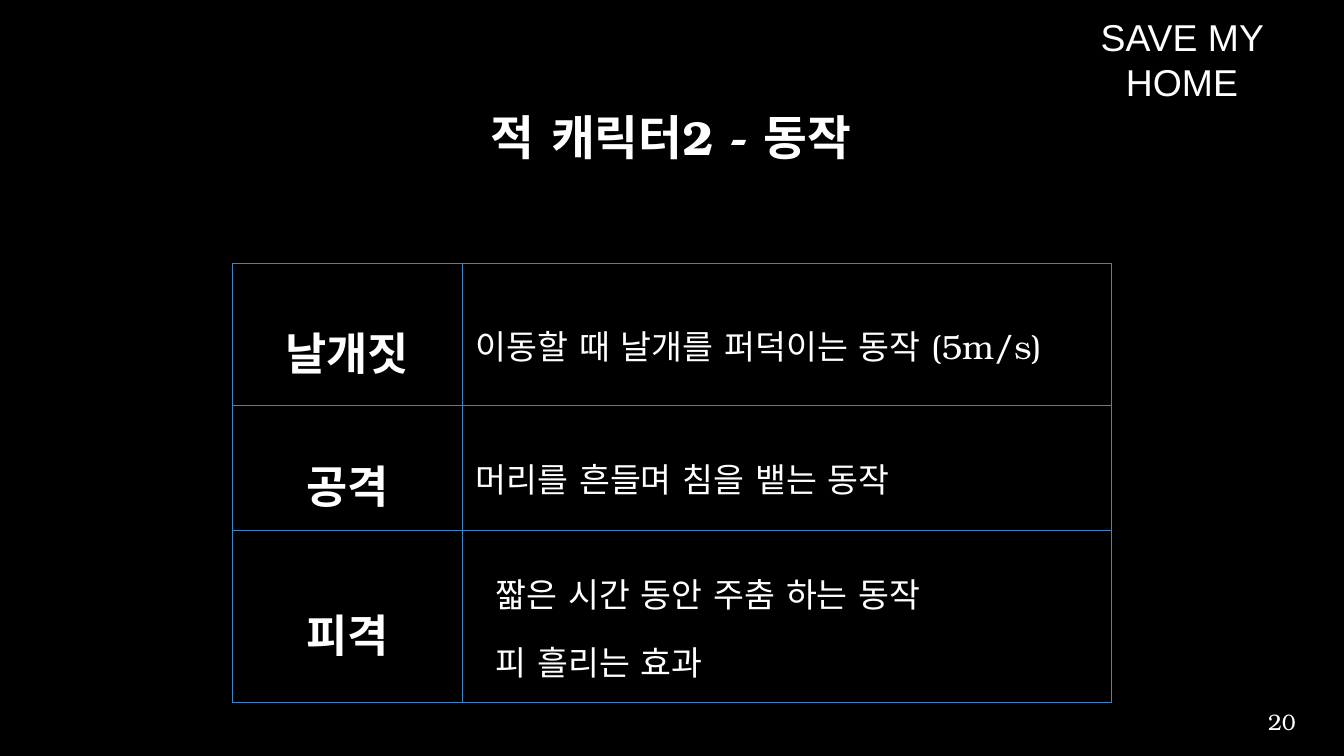
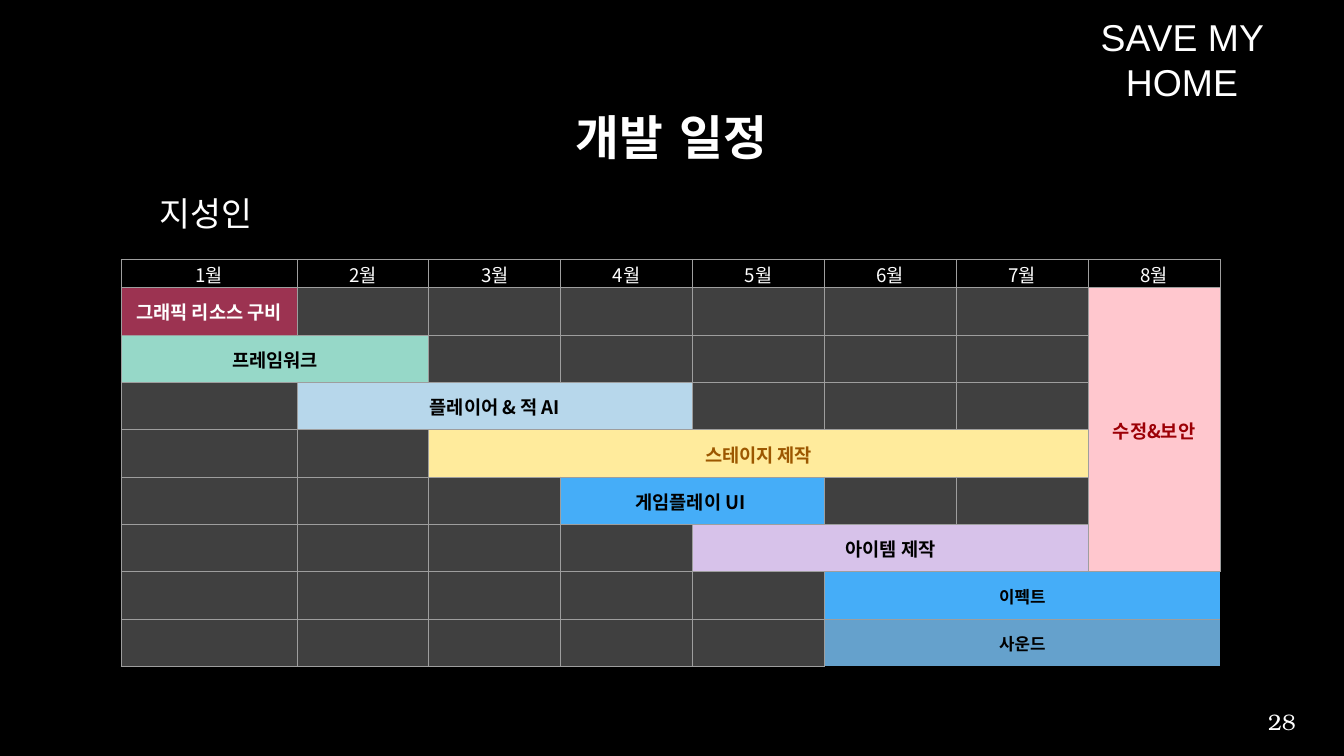
from dataclasses import dataclass
from lxml import etree
from pptx import Presentation
from pptx.dml.color import RGBColor
from pptx.enum import text
from pptx.oxml import ns
from pptx.util import Inches, Pt


@dataclass(frozen=True)
class Theme:
    black: str = "000000"
    white: str = "FFFFFF"
    blue: str = "3D85C6"
    grid: str = "9E9E9E"
    empty: str = "404040"
    serif: str = "TeX Gyre Bonum"
    sans: str = "Noto Sans CJK KR"
    head: str = "Arial"
    title: float = 25.5
    brand: float = 20
    label: float = 24
    body: float = 18
    page: float = 12
    plan: float = 10
    small: float = 9


T = Theme()
ALIGN = text.PP_ALIGN
MIDDLE = text.MSO_ANCHOR.MIDDLE
PLAIN = "{2D5ABB26-0587-4C30-8999-92F81FD0307C}"  # table style without lines


def write(frame, words, face, size, color=T.white, bold=False, align=ALIGN.LEFT, space=1.0):
    """Fill a text frame, one paragraph per line, in one style."""
    frame.text = words
    for par in frame.paragraphs:
        par.alignment = align
        par.line_spacing = space
        font = par.font
        font.name, font.size, font.bold = face, Pt(size), bold
        font.color.rgb = RGBColor.from_string(color)
        latin = font._element.find(ns.qn("a:latin"))
        latin.addnext(etree.Element(ns.qn("a:ea"), typeface=face))


def dress(cell, fill, line, width, pads, sides="LRTB"):
    """Give a table cell its margins, borders and fill."""
    cell.margin_left, cell.margin_right, cell.margin_top, cell.margin_bottom = map(Inches, pads)
    cell.vertical_anchor = MIDDLE
    props = cell._tc.get_or_add_tcPr()
    for side in sides:
        edge = etree.SubElement(props, ns.qn(f"a:ln{side}"), w=str(Pt(width)))
        paint = etree.SubElement(edge, ns.qn("a:solidFill"))
        etree.SubElement(paint, ns.qn("a:srgbClr"), val=line)
    cell.fill.solid()
    cell.fill.fore_color.rgb = RGBColor.from_string(fill)


deck = Presentation()
deck.slide_width, deck.slide_height = Inches(10), Inches(10 * 9 / 16)
back = deck.slide_master.background.fill
back.solid()
back.fore_color.rgb = RGBColor.from_string(T.black)

# Shared title, header and page number; one empty table per slide
tables = []
for name, page, place, cols, rows in [
    ("적 캐릭터2 - 동작", "20", (1.73, 1.96, 6.54, 3.27), [1.71, 4.83], [1.06, 0.93, 1.28]),
    ("개발 일정", "28", (0.9, 1.93, 8.18, 3.03),
     [1.31] + [(8.18 - 1.31) / 7] * 7, [0.21] + [(3.03 - 0.21) / 8] * 8),
]:
    slide = deck.slides.add_slide(deck.slide_layouts[5])
    title = slide.shapes.title
    title.left, title.top, title.width, title.height = map(Inches, (0.75, 0.5, 8.49, 1.09))
    title.text_frame.vertical_anchor = MIDDLE
    write(title.text_frame, name, T.serif, T.title, bold=True, align=ALIGN.CENTER, space=0.9)

    for words, spot, face, size, align in [
        ("SAVE MY HOME", (7.68, 0.17, 2.23, 0.54), T.head, T.brand, ALIGN.CENTER),
        (page, (9.12, 5.22, 0.62, 0.3), T.serif, T.page, ALIGN.RIGHT),
    ]:
        frame = slide.shapes.add_textbox(*map(Inches, spot)).text_frame
        frame.word_wrap = True
        frame.vertical_anchor = MIDDLE
        write(frame, words, face, size, align=align)

    table = slide.shapes.add_table(len(rows), len(cols), *map(Inches, place)).table
    table.first_row = table.horz_banding = False
    table._tbl.tblPr.find(ns.qn("a:tableStyleId")).text = PLAIN
    for col, width in zip(table.columns, cols):
        col.width = Inches(width)
    for row, height in zip(table.rows, rows):
        row.height = Inches(height)
    tables.append(table)

moves, plan = tables

# Enemy moves
for row, (label, detail) in enumerate([
    ("날개짓", "이동할 때 날개를 퍼덕이는 동작 (5m/s)"),
    ("공격", "머리를 흔들며 침을 뱉는 동작"),
    ("피격", "짧은 시간 동안 주춤 하는 동작\n피 흘리는 효과"),
]):
    left, right = moves.cell(row, 0), moves.cell(row, 1)
    for cell in (left, right):
        dress(cell, T.black, T.blue, 0.75, [0.1] * 4)
    write(left.text_frame, label, T.serif, T.label, bold=True, align=ALIGN.CENTER, space=1.5)
    write(right.text_frame, detail, T.serif, T.body, space=1.5)
    pars = right.text_frame.paragraphs
    if len(pars) > 1:
        for par in pars:
            par._p.get_or_add_pPr().set("marL", str(Inches(0.15)))

# Schedule: first row, first column, rows, columns, words, fill, ink, size, borders
bars = [
    (1, 0, 1, 1, "그래픽 리소스 구비", "9C3351", T.white, T.plan, "LRTB"),
    (1, 7, 6, 1, "수정&보안", "FFC7CE", "9C0006", T.plan, "LRTB"),
    (2, 0, 1, 2, "프레임워크", "96D8C8", T.black, T.plan, "LRTB"),
    (3, 1, 1, 3, "플레이어 & 적 AI", "B7D7EB", T.black, T.plan, "LRTB"),
    (4, 2, 1, 5, "스테이지 제작", "FFEB9C", "9C5700", T.plan, "LTB"),
    (5, 3, 1, 2, "게임플레이 UI ", "45ADF8", T.black, T.plan, "LRTB"),
    (6, 4, 1, 3, "아이템 제작", "D7C2EA", T.black, T.plan, "LTB"),
    (7, 5, 1, 3, "이펙트", "45ADF8", T.black, T.small, "LT"),
    (8, 5, 1, 3, "사운드", "65A1CC", T.black, T.small, "L"),
]
pads = (0.01, 0.01, 0.01, 0)
for row, col, high, wide, words, fill, ink, size, sides in bars:
    cell = plan.cell(row, col)
    if high * wide > 1:
        cell.merge(plan.cell(row + high - 1, col + wide - 1))
    dress(cell, fill, T.grid, 0.5, pads, sides)
    write(cell.text_frame, words, T.sans, size, ink, True, ALIGN.CENTER)

starts = {bar[:2] for bar in bars}
for row in range(len(plan.rows)):
    for col in range(len(plan.columns)):
        cell = plan.cell(row, col)
        if (row, col) in starts or cell.is_spanned:
            continue
        dress(cell, T.empty if row else T.black, T.grid, 0.5, pads)
        write(cell.text_frame, "" if row else f"{col + 1}월", T.sans, T.plan, align=ALIGN.CENTER)

frame = deck.slides[1].shapes.add_textbox(*map(Inches, (1.09, 1.39, 0.96, 0.4))).text_frame
frame.word_wrap = False
write(frame, "지성인", T.serif, T.body)

deck.save("out.pptx")
